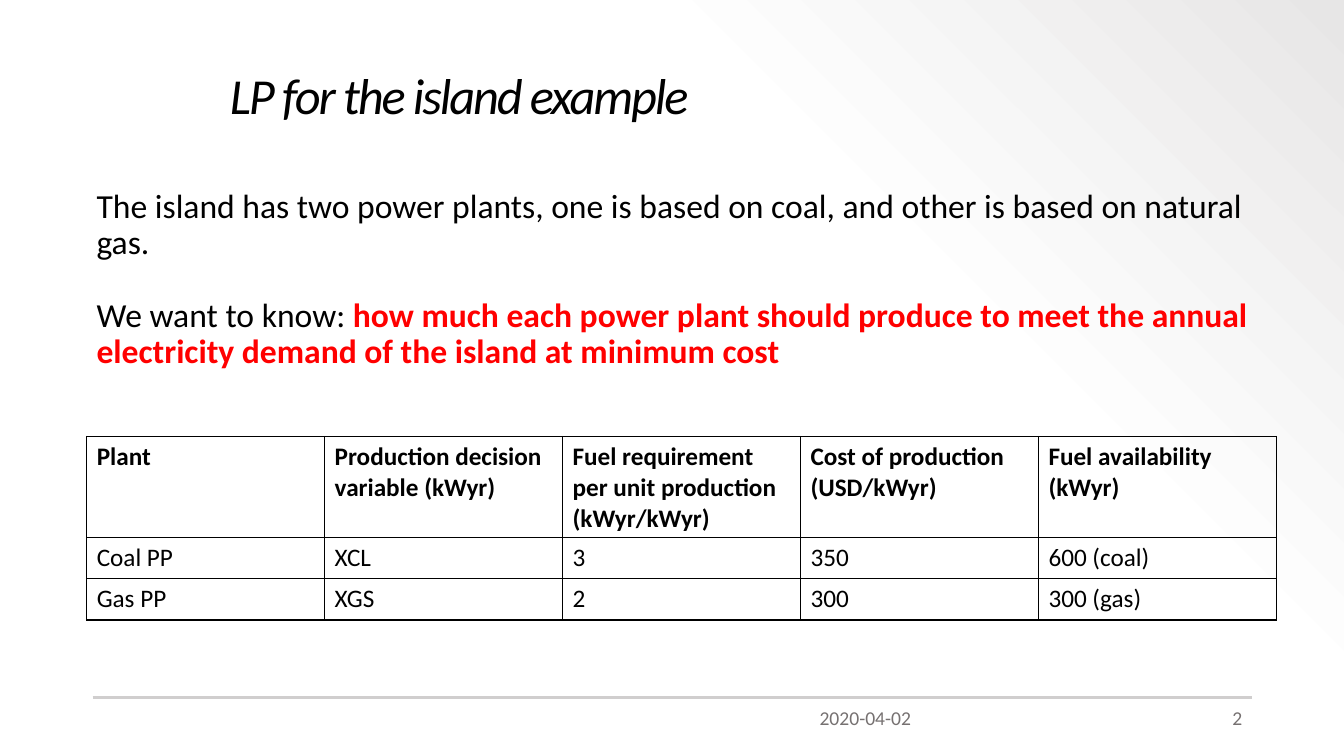
from copy import deepcopy
from dataclasses import dataclass

from lxml.etree import SubElement
from pptx import Presentation
from pptx.dml.color import RGBColor
from pptx.enum.shapes import MSO_CONNECTOR
from pptx.enum.text import MSO_ANCHOR, PP_ALIGN
from pptx.oxml.ns import qn
from pptx.slide import Slide
from pptx.table import _Cell as Cell
from pptx.text.text import _Run as Run
from pptx.util import Inches, Pt

BLACK = RGBColor(0x00, 0x00, 0x00)
RED = RGBColor(0xFF, 0x00, 0x00)
FOOTER_GRAY = RGBColor(0x76, 0x71, 0x71)
RULE_GRAY = RGBColor(0xD0, 0xCE, 0xCE)
BACKDROP = [
    (0.0, RGBColor(0xFF, 0xFF, 0xFF)),
    (0.69, RGBColor(0xFD, 0xFD, 0xFD)),
    (1.0, RGBColor(0xE7, 0xE6, 0xE6)),
]
FONT = "Calibri"
PLANTS = [
    ("Plant", "Production decision variable (kWyr)",
     "Fuel requirement per unit production (kWyr/kWyr)",
     "Cost of production (USD/kWyr)", "Fuel availability (kWyr)"),
    ("Coal PP", "XCL", "3", "350", "600 (coal)"),
    ("Gas PP", "XGS", "2", "300", "300 (gas)"),
]
ROW_HEIGHTS = [1.0, 0.41, 0.41]
COLUMN_WIDTH = 2.36


@dataclass(frozen=True)
class FooterItem:
    text: str
    left: float
    align: PP_ALIGN


FOOTER = [
    FooterItem("2", 9.42, PP_ALIGN.RIGHT),
    FooterItem("2020-04-02", 8.03, PP_ALIGN.LEFT),
]


def style(span: Run, size: float, color: RGBColor = BLACK, bold: bool = False) -> None:
    span.font.name = FONT
    span.font.size = Pt(size)
    span.font.bold = bold
    span.font.color.rgb = color


def paint_background(page: Slide) -> None:
    fill = page.background.fill
    fill.gradient()
    fill.gradient_angle = 45
    stop_list = page.element.xpath(".//a:gsLst")[0]
    stop_list.append(deepcopy(stop_list[-1]))
    for stop, (position, color) in zip(fill.gradient_stops, BACKDROP):
        stop.position = position
        stop.color.rgb = color


def add_title(page: Slide) -> None:
    title = page.shapes.title
    title.left, title.top = Inches(2.18), Inches(0.54)
    title.width, title.height = Inches(7.23), Inches(0.87)
    frame = title.text_frame
    frame.text = "LP for the island example"
    frame.vertical_anchor = MSO_ANCHOR.MIDDLE
    para = frame.paragraphs[0]
    para.alignment = PP_ALIGN.LEFT
    para.line_spacing = 0.9
    span = para.runs[0]
    style(span, 36)
    span.font.italic = True
    span.font._element.set("spc", "-150")


def add_footer(page: Slide) -> None:
    rule = page.shapes.add_connector(
        MSO_CONNECTOR.STRAIGHT, Inches(0.92), Inches(6.92), Inches(12.42), Inches(6.92))
    rule.line.color.rgb = RULE_GRAY
    rule.line.width = Pt(1.5)
    SubElement(rule.element.spPr, qn("a:effectLst"))
    for item in FOOTER:
        box = page.shapes.add_textbox(Inches(item.left), Inches(6.95), Inches(3), Inches(0.4))
        box.text_frame.word_wrap = True
        box.text_frame.text = item.text
        para = box.text_frame.paragraphs[0]
        para.alignment = item.align
        style(para.runs[0], 14, FOOTER_GRAY)


def add_problem(page: Slide) -> None:
    box = page.shapes.add_textbox(Inches(0.86), Inches(1.83), Inches(12.07), Inches(1.56))
    frame = box.text_frame
    frame.word_wrap = True
    frame.text = ("The island has two power plants, one is based on coal, "
                  "and other is based on natural gas.")
    question = frame.add_paragraph()
    question.text = "We want to know: "
    question.space_before = Pt(26)
    goal = question.add_run()
    goal.text = ("how much each power plant should produce to meet the annual "
                 "electricity demand of the island at minimum cost")
    for para in frame.paragraphs:
        para.line_spacing = 0.9
        style(para.runs[0], 24)
    style(goal, 24, RED, bold=True)


def add_borders(cell: Cell) -> None:
    properties = cell._tc.get_or_add_tcPr()
    for position, side in enumerate(("lnL", "lnR", "lnT", "lnB")):
        line = SubElement(properties, qn(f"a:{side}"), w=str(Pt(1)))
        fill = SubElement(line, qn("a:solidFill"))
        SubElement(fill, qn("a:srgbClr"), val=str(BLACK))
        properties.insert(position, line)


def add_plant_table(page: Slide) -> None:
    columns = len(PLANTS[0])
    table = page.shapes.add_table(
        len(PLANTS), columns, Inches(0.86), Inches(4.33),
        Inches(columns * COLUMN_WIDTH), Inches(sum(ROW_HEIGHTS))).table
    table.first_row = table.horz_banding = False
    for column in table.columns:
        column.width = Inches(COLUMN_WIDTH)
    for row_index, (row, height, texts) in enumerate(zip(table.rows, ROW_HEIGHTS, PLANTS)):
        row.height = Inches(height)
        for cell, text in zip(row.cells, texts):
            cell.text_frame.text = text
            style(cell.text_frame.paragraphs[0].runs[0], 18, bold=row_index == 0)
            cell.fill.background()
            add_borders(cell)


def main() -> None:
    deck = Presentation()
    deck.slide_width, deck.slide_height = Inches(13.33), Inches(7.5)
    page = deck.slides.add_slide(deck.slide_layouts.get_by_name("Title Only"))
    paint_background(page)
    add_title(page)
    add_footer(page)
    add_problem(page)
    add_plant_table(page)
    deck.save("out.pptx")


if __name__ == "__main__":
    main()
